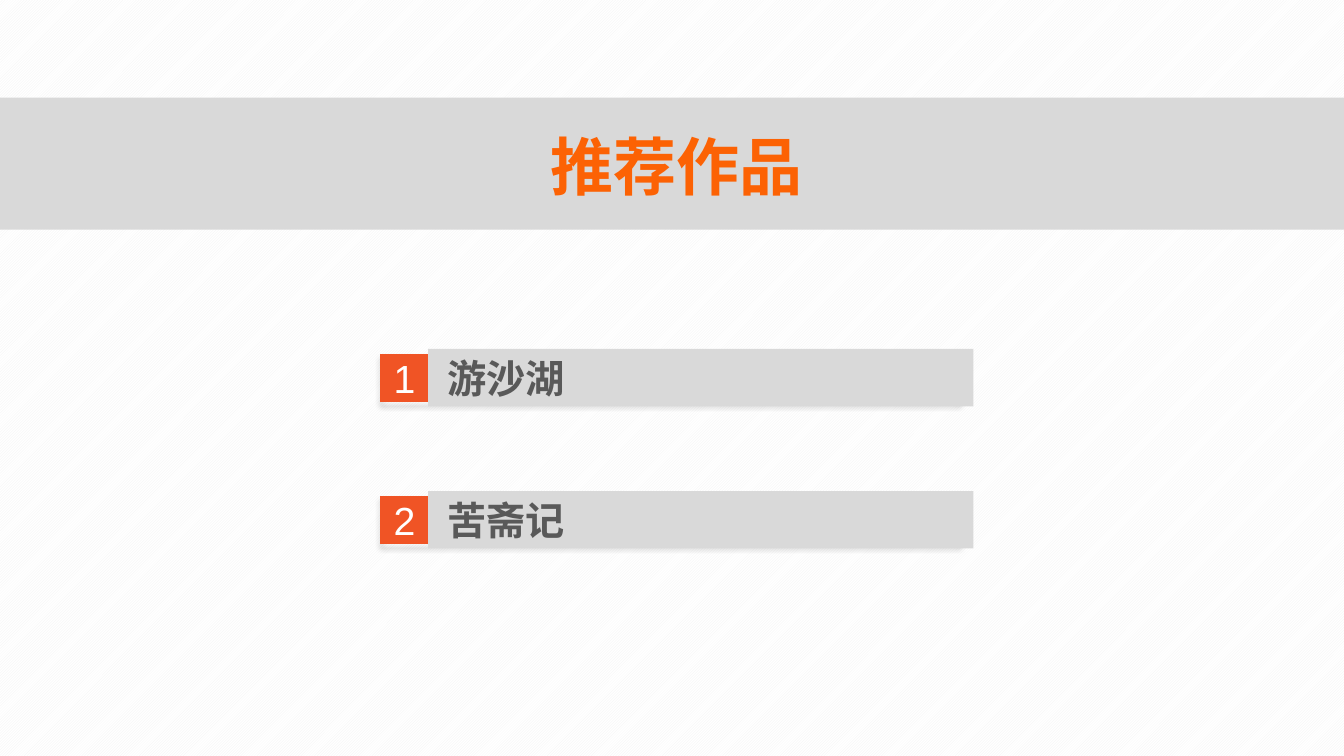
from lxml import etree
from pptx import Presentation
from pptx.dml.color import RGBColor
from pptx.enum import dml, shapes, text
from pptx.oxml import ns
from pptx.util import Pt

TITLE = "推荐作品"
WORKS = [("1", "游沙湖", "Times New Roman"), ("2", "苦斋记", "Noto Sans CJK SC")]
COLORS = {
    "white": "FFFFFF", "stripe": "F2F2F2", "band": "D9D9D9", "number": "F05425",
    "title": "FC6204", "work": "595959", "shadow": "000000",
}
CHINESE_FONT = "Noto Sans CJK SC"
SLIDE_WIDTH, SLIDE_HEIGHT = 960, 540
ROW_LEFT, ROW_TOP, ROW_PITCH = 272.3, 253.3, 101.5
FRAME_WIDTH, NUMBER_SIZE = 412.6, 33.4
BAR_LEFT, BAR_WIDTH, BAR_HEIGHT, BAR_RISE = 305.8, 389.5, 41, 4


def color(name):
    return RGBColor.from_string(COLORS[name])


def add_box(slide, bounds, fill=None, line=None):
    shape = slide.shapes.add_shape(shapes.MSO_SHAPE.RECTANGLE, *map(Pt, bounds))
    shape.shadow.inherit = False
    if fill:
        shape.fill.solid()
        shape.fill.fore_color.rgb = color(fill)
    else:
        shape.fill.background()
    if line:
        shape.line.color.rgb = color(line)
        shape.line.width = Pt(1)
    else:
        shape.line.fill.background()
    return shape


def add_drop_shadow(shape):
    effects = shape._element.spPr.find(ns.qn("a:effectLst"))
    shadow = etree.SubElement(
        effects, ns.qn("a:outerShdw"), blurRad=str(Pt(4)), dist=str(Pt(3)),
        dir="5400000", algn="t", rotWithShape="0")
    shade = etree.SubElement(shadow, ns.qn("a:srgbClr"), val=COLORS["shadow"])
    etree.SubElement(shade, ns.qn("a:alpha"), val="40000")


def write(shape, words, size, font, ink, bold=False, align=text.PP_ALIGN.CENTER, inset=0):
    frame = shape.text_frame
    frame.word_wrap = True
    frame.vertical_anchor = text.MSO_ANCHOR.MIDDLE
    frame.margin_left = Pt(inset)
    frame.margin_right = frame.margin_top = frame.margin_bottom = 0
    paragraph = frame.paragraphs[0]
    paragraph.alignment = align
    run = paragraph.add_run()
    run.text = words
    run.font.size = Pt(size)
    run.font.bold = bold
    run.font.color.rgb = color(ink)
    run.font.name = font
    etree.SubElement(run.font._element, ns.qn("a:ea"), typeface=CHINESE_FONT)


def add_work(slide, top, number, name, font):
    frame = add_box(slide, (ROW_LEFT, top, FRAME_WIDTH, NUMBER_SIZE), line="number")
    add_drop_shadow(frame)
    square = add_box(slide, (ROW_LEFT, top, NUMBER_SIZE, NUMBER_SIZE), "number", "number")
    write(square, number, 28, "Arial", "white")
    bar = add_box(slide, (BAR_LEFT, top - BAR_RISE, BAR_WIDTH, BAR_HEIGHT), "band")
    write(bar, name, 28, font, "work", True, text.PP_ALIGN.LEFT, 13.5)


def main():
    presentation = Presentation()
    presentation.slide_width, presentation.slide_height = Pt(SLIDE_WIDTH), Pt(SLIDE_HEIGHT)
    slide = presentation.slides.add_slide(presentation.slide_layouts[6])
    background = slide.background.fill
    background.patterned()
    background.pattern = dml.MSO_PATTERN.LIGHT_UPWARD_DIAGONAL
    background.fore_color.rgb = color("stripe")
    background.back_color.rgb = color("white")

    add_box(slide, (0, 69.8, SLIDE_WIDTH, 94.3), "band")
    for index, work in enumerate(WORKS):
        add_work(slide, ROW_TOP + index * ROW_PITCH, *work)
    title = slide.shapes.add_textbox(Pt(206.6), Pt(88.6), Pt(553.7), Pt(59))
    write(title, TITLE, 45, "Times New Roman", "title", True)
    presentation.save("out.pptx")


if __name__ == "__main__":
    main()
